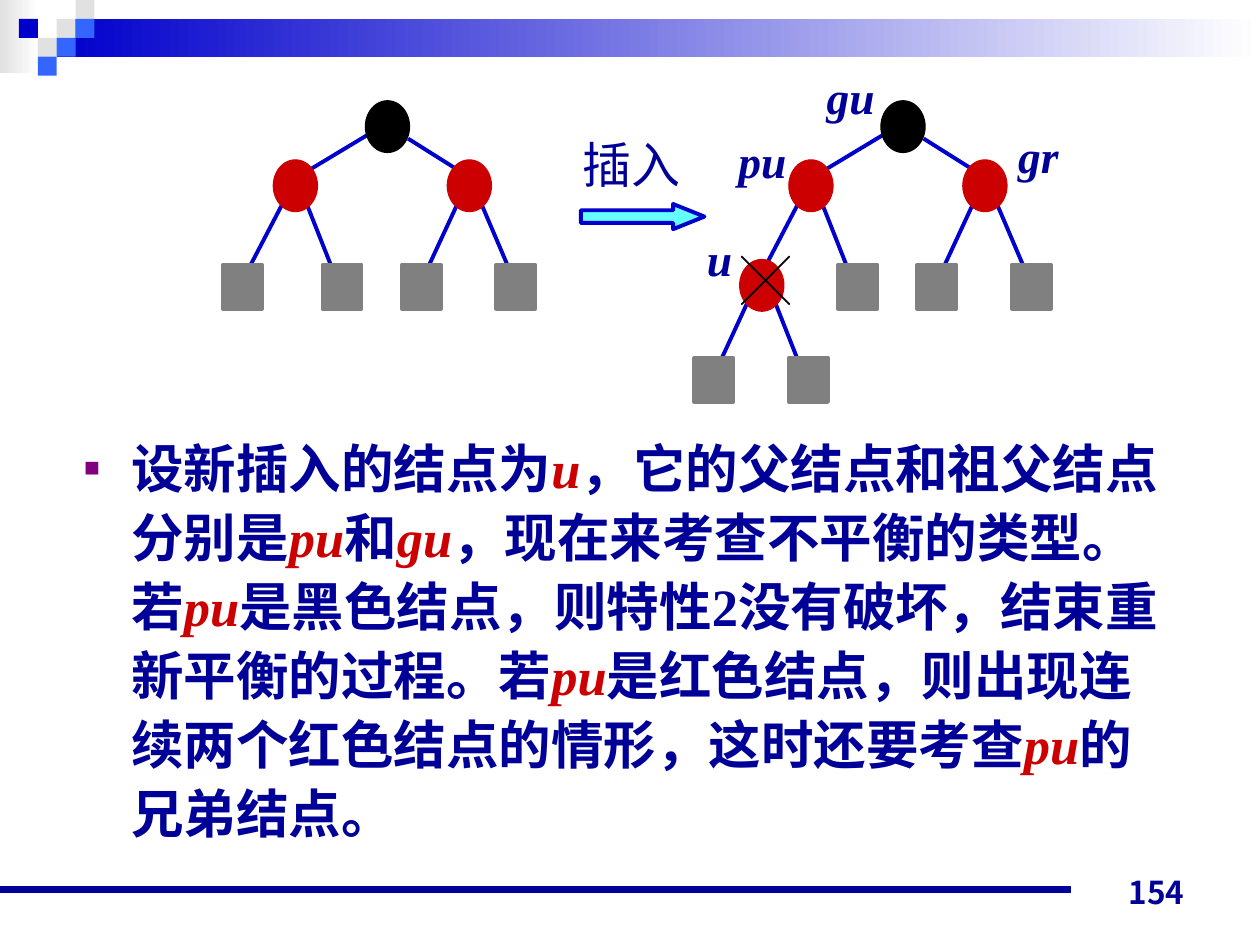
from dataclasses import dataclass

from lxml.etree import SubElement
from pptx import Presentation
from pptx.dml.color import RGBColor
from pptx.enum.shapes import MSO_CONNECTOR, MSO_SHAPE
from pptx.enum.text import MSO_ANCHOR, PP_ALIGN
from pptx.oxml.ns import qn
from pptx.util import Pt


@dataclass(frozen=True)
class Theme:
    """Colours, fonts and type sizes of the slide."""
    navy: str = "000099"
    blue: str = "0000CC"
    sky: str = "3366FF"
    cyan: str = "66FFFF"
    red: str = "CC0000"
    black: str = "000000"
    white: str = "FFFFFF"
    leaf: str = "808080"
    mist: str = "E1E1E1"
    bullet: str = "800080"
    serif: str = "Times New Roman"
    sans: str = "Arial"
    chinese: str = "Noto Sans CJK SC"
    number_font: str = "Noto Sans CJK JP"
    body_size: float = 30
    caption_size: float = 28
    label_size: float = 26
    number_size: float = 18


@dataclass(frozen=True)
class Family:
    """Offsets of the two children from their parent node."""
    left: float
    right: float
    drop: float = 59.8
    right_end: float = 5.8


THEME = Theme()
NODE = (25.2, 29.5)
LEAF = (22.3, 25.2)
LEFT_FAMILY = Family(-28.8, 28.1)
RIGHT_FAMILY = Family(-26, 28, right_end=7.5)
NEW_FAMILY = Family(-25.9, 28.1, drop=56.2)


def rgb(color):
    """Turn a hex string into a colour."""
    return RGBColor.from_string(color)


def add_block(slide, kind, box, color, outline=None, weight=0.75):
    """Add a filled preset shape; a pair of colours makes a gradient."""
    block = slide.shapes.add_shape(kind, *map(Pt, box))
    block.shadow.inherit = False
    if isinstance(color, tuple):
        block.fill.gradient()
        block.fill.gradient_angle = 0
        for stop, shade in zip(block.fill.gradient_stops, color):
            stop.color.rgb = rgb(shade)
    else:
        block.fill.solid()
        block.fill.fore_color.rgb = rgb(color)
    if outline:
        block.line.color.rgb = rgb(outline)
        block.line.width = Pt(weight)
    else:
        block.line.fill.background()
    return block


def add_line(slide, start, end, color=THEME.blue, weight=2.25):
    """Add a straight line without a shadow."""
    line = slide.shapes.add_connector(MSO_CONNECTOR.STRAIGHT, *map(Pt, (*start, *end)))
    line.line.color.rgb = rgb(color)
    line.line.width = Pt(weight)
    SubElement(line._element.spPr, qn("a:effectLst"))


def add_run(paragraph, wording, size, font, color=THEME.navy, bold=False, italic=False):
    """Append one formatted run with Latin and Chinese fonts."""
    run = paragraph.add_run()
    run.text = wording
    run.font.size = Pt(size)
    run.font.name = font
    run.font.bold = bold
    run.font.italic = italic
    run.font.color.rgb = rgb(color)
    run.font._element.find(qn("a:latin")).addnext(
        run.font._element.makeelement(qn("a:ea"), {"typeface": THEME.chinese}))


def add_label(slide, box, wording, size=THEME.label_size, font=THEME.serif, **style):
    """Add a centred one-line label."""
    frame = slide.shapes.add_textbox(*map(Pt, box)).text_frame
    frame.word_wrap = False
    frame.paragraphs[0].alignment = PP_ALIGN.CENTER
    add_run(frame.paragraphs[0], wording, size, font, **style)


def draw_header(slide, left, top, width):
    """Draw the gradient band and its chequered squares."""
    unit = 10.8
    rect = MSO_SHAPE.RECTANGLE
    add_block(slide, rect, (left, top, 22.3, 41.8), (THEME.mist, THEME.white))
    add_block(slide, rect, (left + 3 * unit, top + unit, width - 3 * unit, 2 * unit),
              (THEME.blue, THEME.white))
    squares = {(3, 1): THEME.mist, (4, 0): THEME.mist, (4, 1): THEME.sky, (2, 2): THEME.mist,
               (1, 1): THEME.blue, (3, 2): THEME.sky, (2, 3): THEME.sky}
    for (column, row), color in squares.items():
        add_block(slide, rect, (left + column * unit, top + row * unit, unit, unit), color)


def draw_node(slide, left, top, color):
    """Draw an inner tree node."""
    add_block(slide, MSO_SHAPE.OVAL, (left, top, *NODE), color, color)


def draw_family(slide, left, top, family, left_leaf=True):
    """Draw a red node with edges to its children and its leaves."""
    below = top + family.drop
    add_line(slide, (left + 10.8, below - 45.4), (left + family.left + 14.4, below + 2.9))
    add_line(slide, (left + 13.7, below - 48.2),
             (left + family.right + family.right_end, below + 2.9))
    draw_node(slide, left, top, THEME.red)
    for offset in (family.left, family.right) if left_leaf else (family.right,):
        add_block(slide, MSO_SHAPE.RECTANGLE, (left + offset, below, *LEAF),
                  THEME.leaf, THEME.leaf, 2.25)


def draw_tree(slide, left, top, inserted=False):
    """Draw the red-black tree, optionally with the inserted node."""
    add_line(slide, (left + 82.8, top + 19.4), (left + 39.6, top + 45.4))
    add_line(slide, (left + 105.8, top + 21.6), (left + 139, top + 42.5))
    draw_node(slide, left + 81.4, top, THEME.black)
    draw_family(slide, left + 28.8, top + 33.8, LEFT_FAMILY, left_leaf=not inserted)
    draw_family(slide, left + 128.2, top + 33.8, RIGHT_FAMILY)
    if inserted:
        draw_family(slide, left + 0.7, top + 90.7, NEW_FAMILY)


def draw_labels(slide, left, top):
    """Name the nodes of the tree after insertion and cross the new one."""
    add_label(slide, (left - 5.5, top + 82, 31, 41), "╳", THEME.caption_size,
              THEME.chinese, color=THEME.black)
    for name, x, y, width in (("pu", -7.2, 15.1, 41.8), ("gu", 43.2, -21.6, 41.8),
                              ("u", -25.2, 70.6, 28.8), ("gr", 152.6, 12.2, 37.4)):
        add_label(slide, (left + x, top + y, width, 38.9), name, bold=True, italic=True)


def draw_insertion(slide, left, top):
    """Draw the captioned arrow between the trees."""
    arrow = add_block(slide, MSO_SHAPE.RIGHT_ARROW, (left, top + 43.2, 70.6, 14.4),
                      THEME.cyan, THEME.blue, 2.25)
    arrow.adjustments[1] = 1.243
    add_label(slide, (left - 10.8, top, 80, 41), "插入", THEME.caption_size, THEME.sans)


def write_body(slide, left, top, width, height):
    """Write the bulleted explanation with node names in red."""
    frame = slide.shapes.add_textbox(*map(Pt, (left, top, width, height))).text_frame
    frame.word_wrap = True
    paragraph = frame.paragraphs[0]
    paragraph.line_spacing = Pt(39.5)
    properties = paragraph._p.get_or_add_pPr()
    properties.set("marL", str(Pt(27)))
    properties.set("indent", str(-Pt(27)))
    SubElement(SubElement(properties, qn("a:buClr")), qn("a:srgbClr"), val=THEME.bullet)
    SubElement(properties, qn("a:buSzPct"), val="50000")
    SubElement(properties, qn("a:buFont"), typeface=THEME.sans)
    SubElement(properties, qn("a:buChar"), char="■")
    wording = ("设新插入的结点为", "u", "，它的父结点和祖父结点分别是", "pu", "和", "gu",
               "，现在来考查不平衡的类型。若", "pu",
               "是黑色结点，则特性2没有破坏，结束重新平衡的过程。若", "pu",
               "是红色结点，则出现连续两个红色结点的情形，这时还要考查", "pu", "的兄弟结点。")
    for part in wording:
        is_node = part in ("u", "pu", "gu")
        add_run(paragraph, part, THEME.body_size, THEME.serif,
                THEME.red if is_node else THEME.navy, bold=True, italic=is_node)


def draw_footer(slide, left, top, width):
    """Draw the footer rule and the slide number."""
    add_line(slide, (left, top + 20.1), (left + 612, top + 20.1), THEME.navy, 4.5)
    frame = slide.shapes.add_textbox(*map(Pt, (left + width - 203.8, top, 167.8, 36))).text_frame
    frame.word_wrap = True
    frame.vertical_anchor = MSO_ANCHOR.BOTTOM
    frame.paragraphs[0].alignment = PP_ALIGN.RIGHT
    add_run(frame.paragraphs[0], "154", THEME.number_size, THEME.number_font, bold=True)


def main():
    """Build and save the slide."""
    deck = Presentation()
    deck.slide_width, deck.slide_height = Pt(720), Pt(540)
    slide = deck.slides.add_slide(deck.slide_layouts[6])
    draw_header(slide, 0, 0, 720)
    draw_footer(slide, 0, 488.2, 720)
    write_body(slide, 41, 242, 636.5, 252)
    draw_tree(slide, 127.4, 57.6)
    draw_tree(slide, 422, 57.6, inserted=True)
    draw_insertion(slide, 331.9, 73.4)
    draw_labels(slide, 422, 57.6)
    deck.save("out.pptx")


if __name__ == "__main__":
    main()
